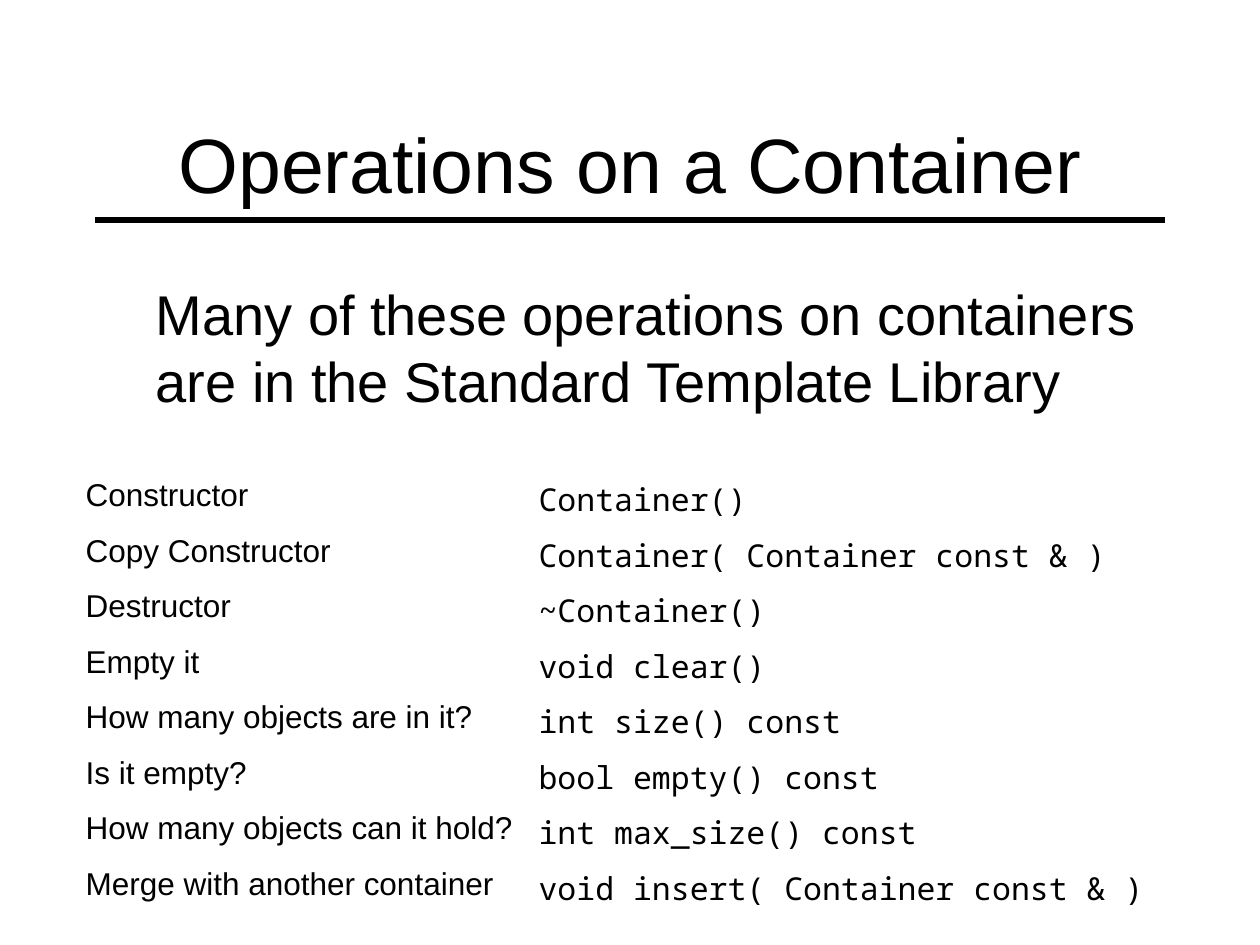
from pptx import Presentation
from pptx.dml.color import RGBColor
from pptx.enum.shapes import MSO_CONNECTOR as Conn
from pptx.enum.text import MSO_ANCHOR as Anchor, PP_ALIGN as Align
from pptx.oxml.ns import qn
from pptx.util import Pt
from lxml.etree import SubElement

BLACK = RGBColor(0, 0, 0)
SANS, MONO = "Arial", "Noto Sans Mono"
PX = 914400 / 126

ROWS = [
    ("Constructor", "Container()"),
    ("Copy Constructor", "Container( Container const & )"),
    ("Destructor", "~Container()"),
    ("Empty it", "void clear()"),
    ("How many objects are in it?", "int size() const"),
    ("Is it empty?", "bool empty() const"),
    ("How many objects can it hold?", "int max_size() const"),
    ("Merge with another container", "void insert( Container const & )"),
]


def px(*nums):
    return [round(n * PX) for n in nums]


def write(para, text, size, face=SANS):
    run = para.add_run()
    run.text = text
    run.font.size = Pt(size)
    run.font.name = face
    run.font.bold = False
    run.font.color.rgb = BLACK


deck = Presentation()
deck.slide_width, deck.slide_height = px(1260, 945)
slide = deck.slides.add_slide(deck.slide_layouts[1])
shapes = slide.shapes

# Rule under the title, behind everything else
rule = shapes.add_connector(Conn.STRAIGHT, *px(95, 220, 1165, 220))
rule.line.color.rgb = BLACK
rule.line.width = Pt(3)
SubElement(rule._element.spPr, qn("a:effectLst"))
shapes._spTree.insert(2, rule._element)

# Title
title = shapes.title
title.left, title.top, title.width, title.height = px(95, 84, 1071, 158)
frame = title.text_frame
frame.vertical_anchor = Anchor.MIDDLE
para = frame.paragraphs[0]
para.alignment = Align.CENTER
write(para, "Operations on a Container", 44)

# Body: one indented paragraph without a bullet
body = slide.placeholders[1]
body.left, body.top, body.width, body.height = px(95, 273, 1071, 567)
para = body.text_frame.paragraphs[0]
para.space_before = Pt(8)
props = para._p.get_or_add_pPr()
props.set("marL", str(px(48)[0]))
props.set("indent", "0")
SubElement(props, qn("a:buNone"))
write(para, "Many of these operations on containers "
      "are in the Standard Template Library", 32)

# Table of operations and their signatures
table = shapes.add_table(len(ROWS), 2, *px(73, 472, 1118, 408)).table
table.first_row = table.horz_banding = False
for col, width in zip(table.columns, px(453, 665)):
    col.width = width
for row, texts in zip(table.rows, ROWS):
    row.height = px(51)[0]
    for cell, text, face in zip(row.cells, texts, (SANS, MONO)):
        cell.fill.background()
        write(cell.text_frame.paragraphs[0], text, 18, face)

deck.save("out.pptx")
